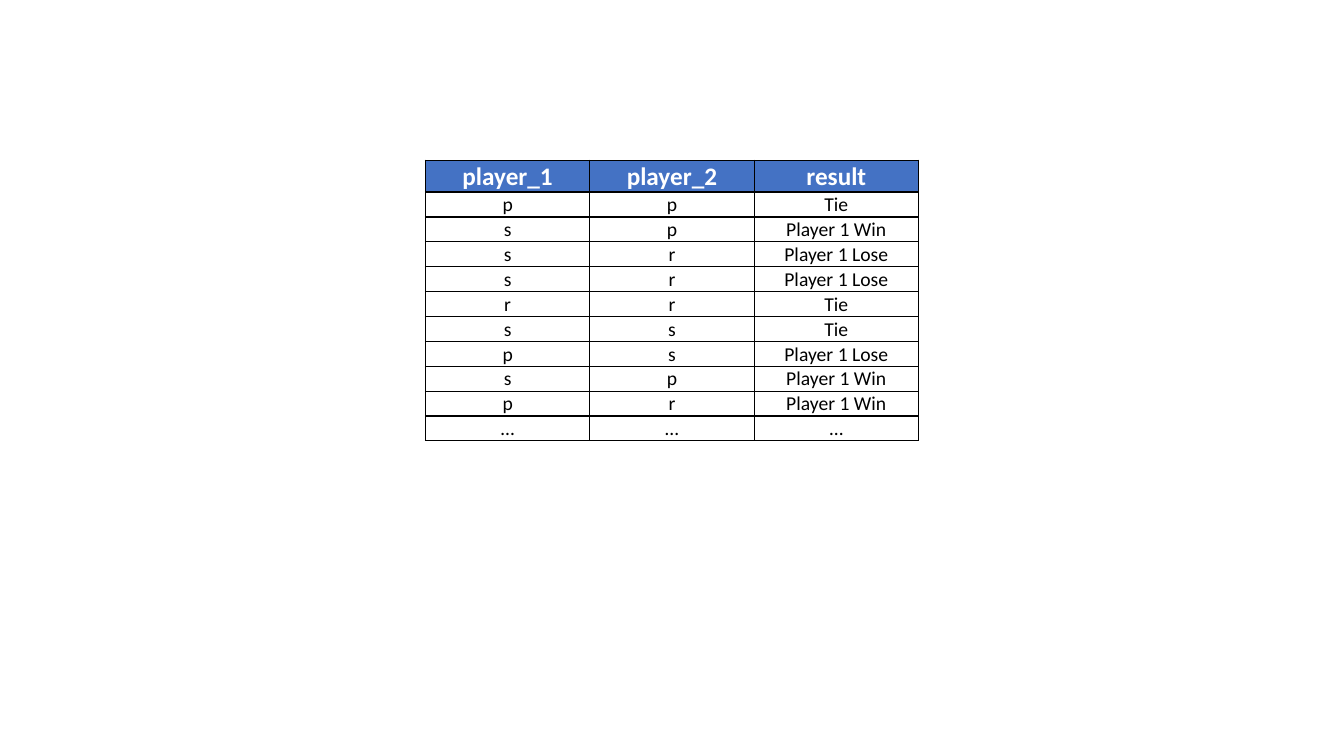
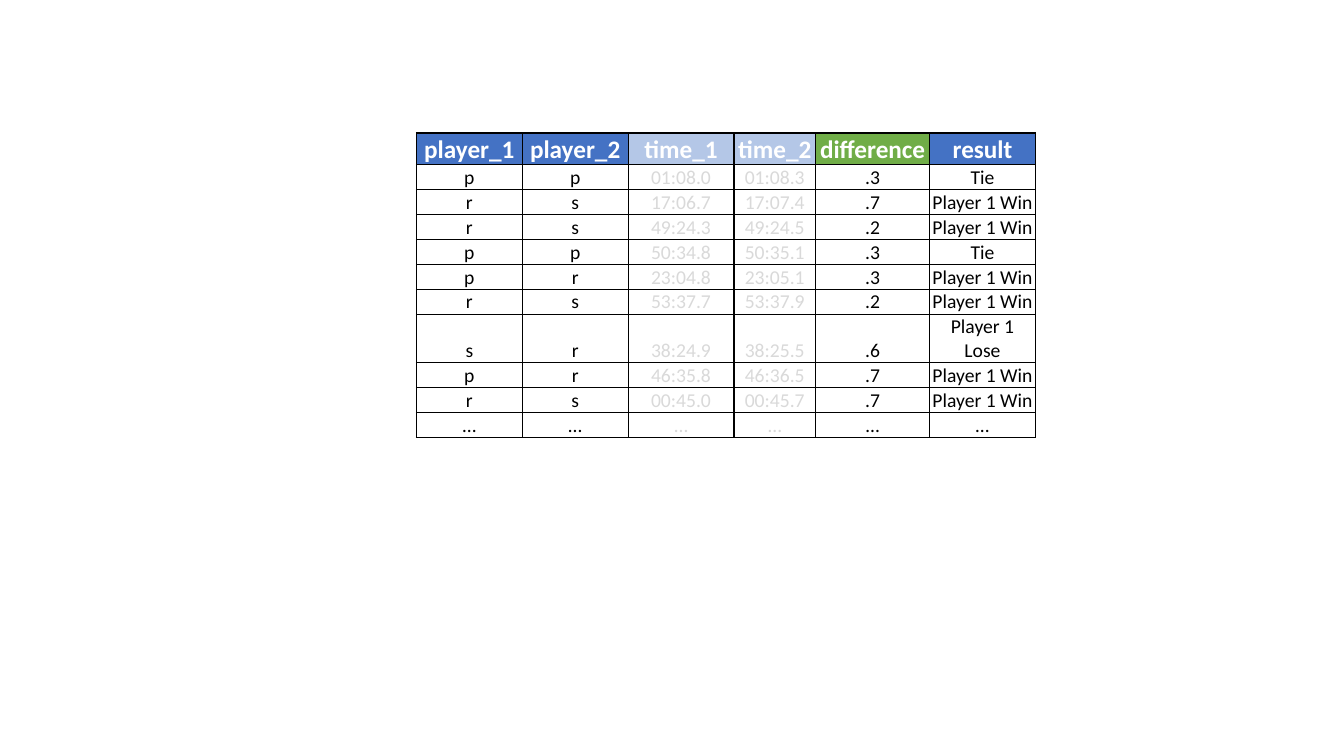
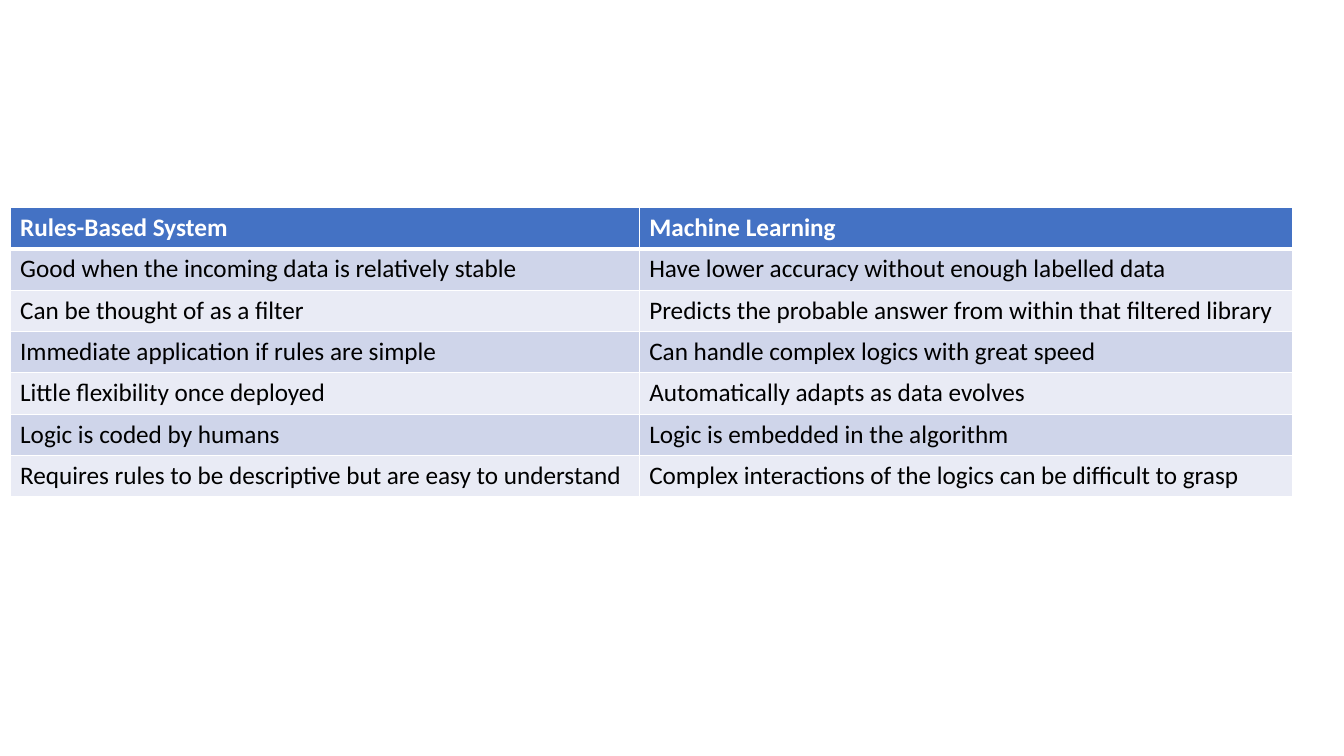
"""Build three slides of tables on game results and on rules versus learning."""
from lxml import etree
from pptx import Presentation
from pptx.dml.color import RGBColor
from pptx.enum.text import MSO_ANCHOR, PP_ALIGN
from pptx.oxml.ns import qn
from pptx.util import Inches, Pt

TOP, BOTTOM = MSO_ANCHOR.TOP, MSO_ANCHOR.BOTTOM
LEFT, CENTER = PP_ALIGN.LEFT, PP_ALIGN.CENTER
FONT = "Calibri"
HEADER_SIZE = 18
COLORS = {
    "ink": "000000", "white": "FFFFFF", "blue": "4472C4", "pale_blue": "B4C7E7",
    "green": "70AD47", "faded": "D9D9D9", "band_dark": "CFD5EA", "band_light": "E9EBF5",
}

GAMES = [
    ("player_1", "player_2", "result"),
    ("p", "p", "Tie"),
    ("s", "p", "Player 1 Win"),
    ("s", "r", "Player 1 Lose"),
    ("s", "r", "Player 1 Lose"),
    ("r", "r", "Tie"),
    ("s", "s", "Tie"),
    ("p", "s", "Player 1 Lose"),
    ("s", "p", "Player 1 Win"),
    ("p", "r", "Player 1 Win"),
    ("…",) * 3,
]
TIMED_GAMES = [
    ("player_1", "player_2", "time_1", "time_2", "difference", "result"),
    ("p", "p", "01:08.0", "01:08.3", ".3", "Tie"),
    ("r", "s", "17:06.7", "17:07.4", ".7", "Player 1 Win"),
    ("r", "s", "49:24.3", "49:24.5", ".2", "Player 1 Win"),
    ("p", "p", "50:34.8", "50:35.1", ".3", "Tie"),
    ("p", "r", "23:04.8", "23:05.1", ".3", "Player 1 Win"),
    ("r", "s", "53:37.7", "53:37.9", ".2", "Player 1 Win"),
    ("s", "r", "38:24.9", "38:25.5", ".6", "Player 1 Lose"),
    ("p", "r", "46:35.8", "46:36.5", ".7", "Player 1 Win"),
    ("r", "s", "00:45.0", "00:45.7", ".7", "Player 1 Win"),
    ("…",) * 6,
]
APPROACHES = [
    ("Rules-Based System", "Machine Learning"),
    ("Good when the incoming data is relatively stable",
     "Have lower accuracy without enough labelled data"),
    ("Can be thought of as a filter",
     "Predicts the probable answer from within that filtered library"),
    ("Immediate application if rules are simple",
     "Can handle complex logics with great speed"),
    ("Little flexibility once deployed", "Automatically adapts as data evolves"),
    ("Logic is coded by humans", "Logic is embedded in the algorithm"),
    ("Requires rules to be descriptive but are easy to understand",
     "Complex interactions of the logics can be difficult to grasp"),
]

GAME_STYLE = {
    "row_height": 0.22, "size": 14, "align": CENTER, "anchor": BOTTOM,
    "margins": (0.01, 0.01, 0.01, 0), "border": "ink", "header_rule": 1, "bands": (),
}
APPROACH_STYLE = {
    "row_height": 0.41, "size": 18, "align": LEFT, "anchor": TOP,
    "margins": (0.1, 0.05, 0.1, 0.05), "border": "white", "header_rule": 3,
    "bands": ("band_dark", "band_light"),
}
HEADER_FILLS = {"time_1": "pale_blue", "time_2": "pale_blue", "difference": "green"}
FADED_COLUMNS = ("time_1", "time_2")

SLIDES = [
    (GAMES, (4.22, 1.59), (1.63,) * 3, GAME_STYLE),
    (TIMED_GAMES, (4.13, 1.32), (1.05, 1.05, 1.05, 0.81, 1.13, 1.05), GAME_STYLE),
    (APPROACHES, (0.1, 2.06), (6.24, 6.48), APPROACH_STYLE),
]


def rgb(name):
    return RGBColor.from_string(COLORS[name])


def add_borders(cell, color, top, bottom):
    properties = cell._tc.get_or_add_tcPr()
    for side, width in (("L", 1), ("R", 1), ("T", top), ("B", bottom)):
        line = etree.SubElement(properties, qn(f"a:ln{side}"), w=str(Pt(width)))
        fill = etree.SubElement(line, qn("a:solidFill"))
        etree.SubElement(fill, qn("a:srgbClr"), val=COLORS[color])


def write_cell(cell, text, fill, color, size, bold, style):
    cell.margin_left, cell.margin_top, cell.margin_right, cell.margin_bottom = map(
        Inches, style["margins"])
    cell.vertical_anchor = style["anchor"]
    if fill:
        cell.fill.solid()
        cell.fill.fore_color.rgb = rgb(fill)
    else:
        cell.fill.background()
    paragraph = cell.text_frame.paragraphs[0]
    paragraph.alignment = style["align"]
    run = paragraph.add_run()
    run.text = text
    run.font.name, run.font.size, run.font.bold = FONT, Pt(size), bold
    run.font.color.rgb = rgb(color)


def add_grid(slide, rows, corner, widths, style):
    left, top = map(Inches, corner)
    height = Inches(style["row_height"])
    table = slide.shapes.add_table(
        len(rows), len(widths), left, top, Inches(sum(widths)), height * len(rows)).table
    table.horz_banding = False
    for column, width in zip(table.columns, widths):
        column.width = Inches(width)
    bands, rule = style["bands"], style["header_rule"]
    for r, texts in enumerate(rows):
        table.rows[r].height = height
        for c, (heading, text) in enumerate(zip(rows[0], texts)):
            cell = table.cell(r, c)
            add_borders(cell, style["border"], rule if r == 1 else 1, rule if r == 0 else 1)
            if r == 0:
                fill = HEADER_FILLS.get(heading, "blue")
                write_cell(cell, text, fill, "white", HEADER_SIZE, True, style)
            else:
                fill = bands[(r - 1) % len(bands)] if bands else None
                color = "faded" if heading in FADED_COLUMNS else "ink"
                write_cell(cell, text, fill, color, style["size"], False, style)


deck = Presentation()
deck.slide_width, deck.slide_height = Inches(13.33), Inches(7.5)
for rows, corner, widths, style in SLIDES:
    add_grid(deck.slides.add_slide(deck.slide_layouts[6]), rows, corner, widths, style)
deck.save("out.pptx")
